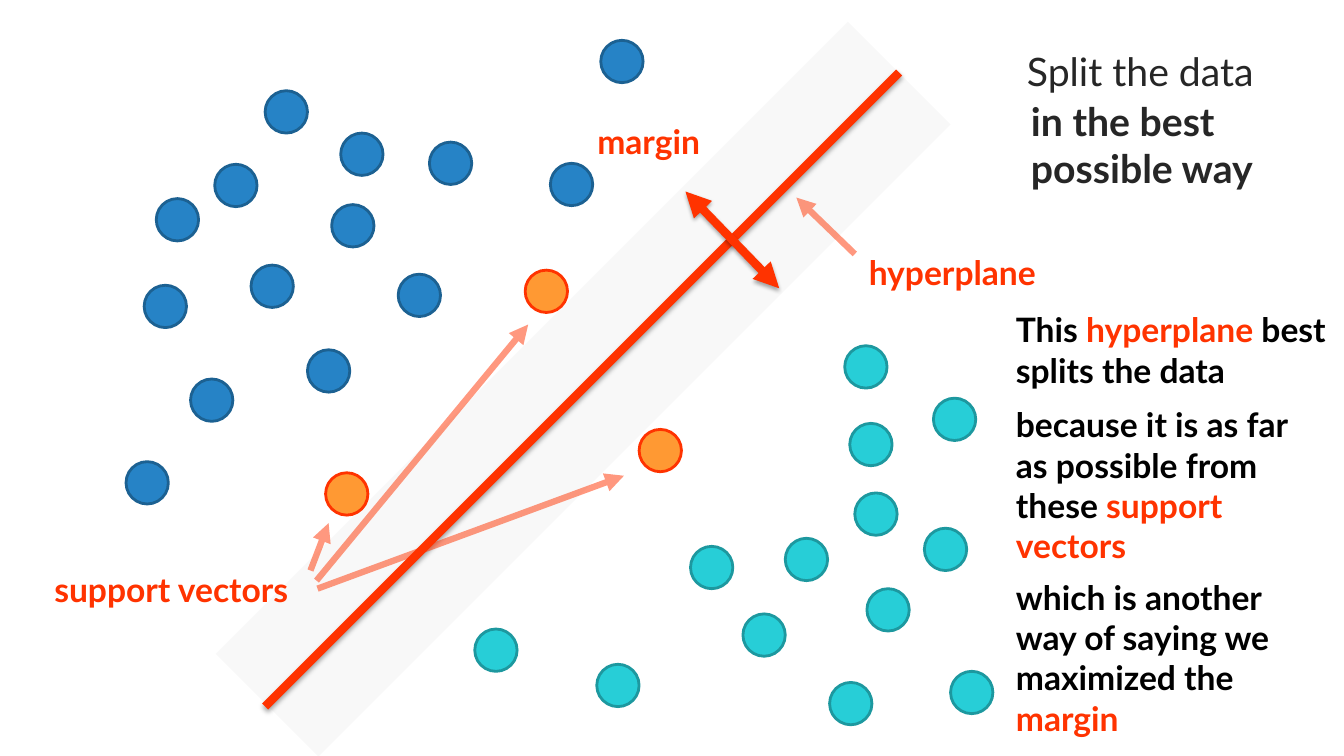
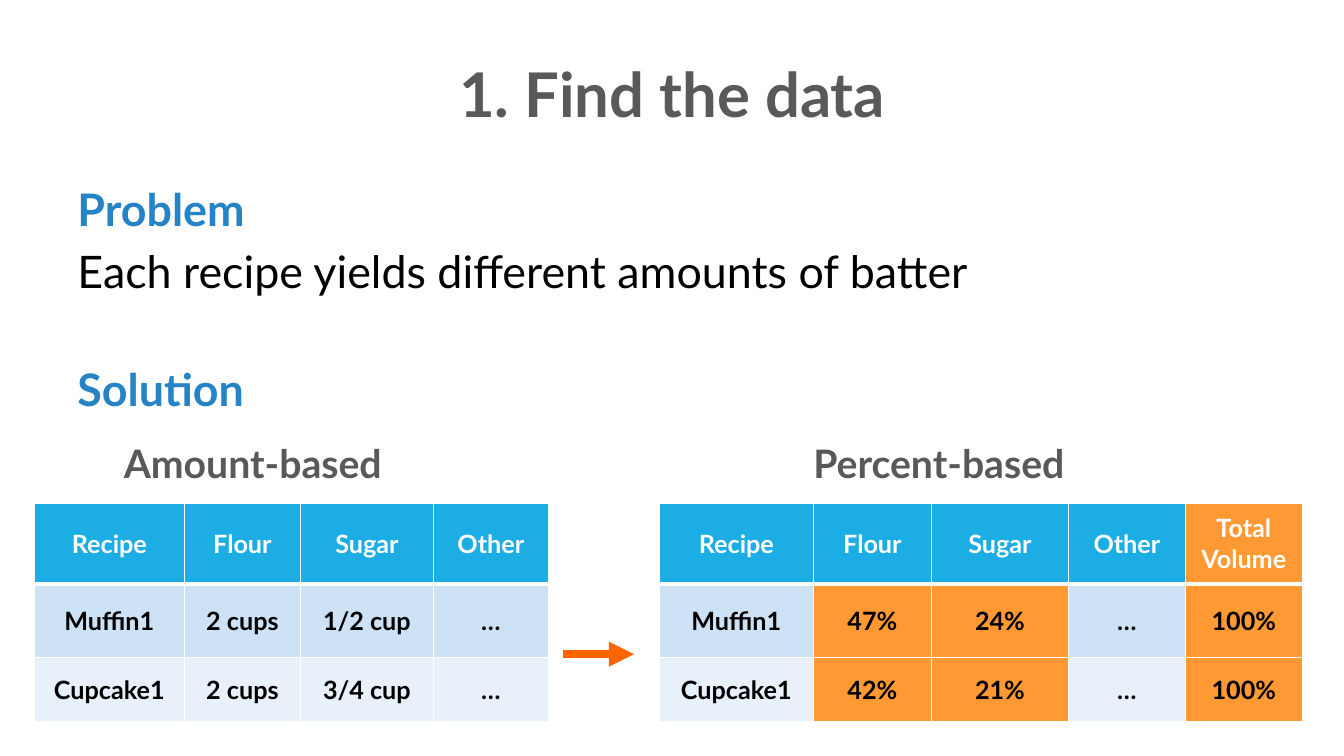
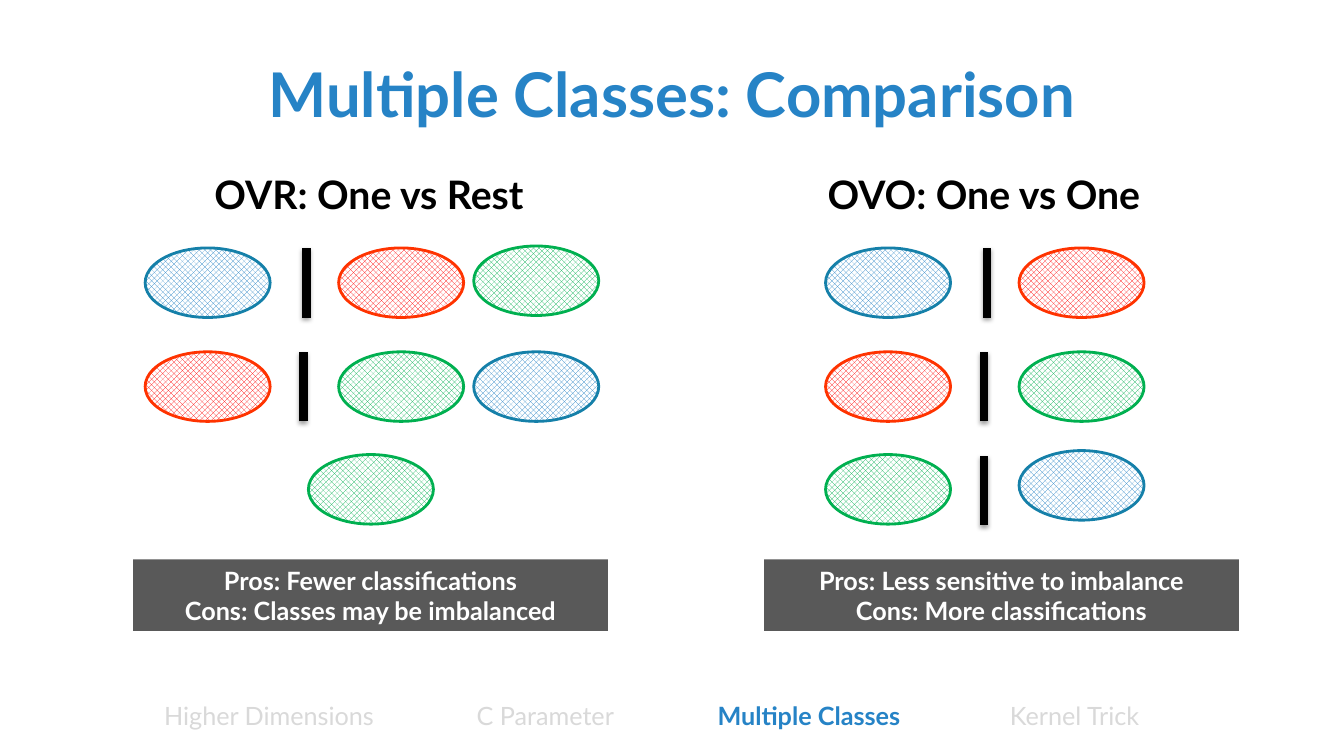
from lxml.etree import SubElement
from pptx import Presentation
from pptx.dml.color import RGBColor
from pptx.enum.dml import MSO_PATTERN_TYPE as Pattern
from pptx.enum.shapes import MSO_CONNECTOR as Connector, MSO_SHAPE as Preset
from pptx.enum.text import MSO_ANCHOR as Anchor, MSO_AUTO_SIZE as AutoSize, PP_ALIGN as Align
from pptx.oxml.ns import qn
from pptx.util import Emu, Pt

CELL = 91440
COLUMNS, ROWS = 133.33, 75
TITLE_ONLY, BLANK = 5, 6

BLUE, NAVY = "2683C6", "1C6192"
TEAL, DARK_TEAL = "27CED7", "1D989F"
RED, ORANGE, ARROW_ORANGE = "FF3300", "FF9933", "FF6600"
GREEN = "00B050"
BLACK, WHITE, GRAY, CHARCOAL, PALE_GRAY = "000000", "FFFFFF", "595959", "262626", "D9D9D9"
HEADER, BAND_DARK, BAND_LIGHT = "1CADE4", "CDE3F5", "E8F1FA"


def color(value):
    return RGBColor.from_string(value)


def grid(*lengths):
    return [Emu(round(length * CELL)) for length in lengths]


def assign(target, values):
    for name, value in values.items():
        setattr(target, name, value)


def element(parent, tag, **attributes):
    return SubElement(parent, qn(tag), {name: str(value) for name, value in attributes.items()})


class Deck:
    font = {"name": "Lato", "size": Pt(18), "bold": True}

    def __init__(self):
        self.presentation = Presentation()
        width, height = grid(COLUMNS, ROWS)
        assign(self.presentation, {"slide_width": width, "slide_height": height})
        self.slide = None

    def new_slide(self, title=None, title_color=GRAY):
        layout = TITLE_ONLY if title else BLANK
        self.slide = self.presentation.slides.add_slide(self.presentation.slide_layouts[layout])
        if title:
            shape = self.slide.shapes.title
            left, top, width, height = grid(6.7, 3, 120, 12.5)
            assign(shape, {"left": left, "top": top, "width": width, "height": height})
            self.set_text(shape, [{"runs": [(title, title_color)], "size": 44}],
                          Align.CENTER, Anchor.MIDDLE)

    def set_text(self, holder, paragraphs, align=Align.LEFT, anchor=Anchor.TOP):
        frame = holder.text_frame
        assign(frame, {"word_wrap": True, "auto_size": AutoSize.NONE, "vertical_anchor": anchor})
        for index, content in enumerate(paragraphs):
            paragraph = frame.add_paragraph() if index else frame.paragraphs[0]
            if "tabs" in content:
                tabs = element(paragraph._p.get_or_add_pPr(), "a:tabLst")
                for position in grid(*content["tabs"]):
                    element(tabs, "a:tab", pos=position, algn="l")
            assign(paragraph, {"alignment": align, "space_before": Pt(content.get("before", 0))})
            for text, shade, *weight in content["runs"]:
                run = paragraph.add_run()
                run.text = text
                assign(run.font, {**self.font, "size": Pt(content.get("size", 18))})
                if weight:
                    run.font.bold = weight[0]
                run.font.color.rgb = color(shade)

    def text(self, box, paragraphs, align=Align.LEFT):
        self.set_text(self.slide.shapes.add_textbox(*grid(*box)), paragraphs, align)

    def label(self, box, *runs, size=24, align=Align.LEFT):
        self.text(box, [{"runs": runs, "size": size}], align)

    def shape(self, preset, box, fill, line=None, alpha=None, pattern=None):
        shape = self.slide.shapes.add_shape(preset, *grid(*box))
        shape.shadow.inherit = False
        if pattern:
            shape.fill.patterned()
            shape.fill.pattern = pattern
            shape.fill.back_color.rgb = color(WHITE)
        else:
            shape.fill.solid()
        shape.fill.fore_color.rgb = color(fill)
        if alpha:
            self.fade(shape._element.spPr.find(qn("a:solidFill")), alpha)
        if line:
            shape.line.color.rgb = color(line)
            shape.line.width = Pt(2)
        else:
            shape.line.fill.background()
        return shape

    def fade(self, solid_fill, percent):
        element(solid_fill[0], "a:alpha", val=percent * 1000)

    def dot(self, left, top, fill, line):
        self.shape(Preset.OVAL, (left, top, 4.2, 4.2), fill, line)

    def line(self, start, end, shade, width=6, alpha=None, heads=(), shadow=False):
        connector = self.slide.shapes.add_connector(Connector.STRAIGHT, *grid(*start, *end))
        connector.line.color.rgb = color(shade)
        connector.line.width = Pt(width)
        outline = connector._element.spPr.find(qn("a:ln"))
        if alpha:
            self.fade(outline.find(qn("a:solidFill")), alpha)
        for head in heads:
            element(outline, head, type="triangle")
        effects = element(connector._element.spPr, "a:effectLst")
        if shadow:
            cast = element(effects, "a:outerShdw", blurRad=Pt(3.1), dist=Pt(1.8),
                           dir=90 * 60000, rotWithShape=0)
            element(element(cast, "a:srgbClr", val=BLACK), "a:alpha", val=35000)

    def pointer(self, start, end):
        self.line(start, end, RED, 4.5, 50, ["a:tailEnd"])

    def table(self, left, top, widths, heights, records, highlights):
        frame = self.slide.shapes.add_table(
            len(heights), len(widths), *grid(left, top, sum(widths), sum(heights)))
        table = frame.table
        table.horz_banding = False
        for column, width in zip(table.columns, grid(*widths)):
            column.width = width
        for row, height in zip(table.rows, grid(*heights)):
            row.height = height
        bands = [HEADER, BAND_DARK, BAND_LIGHT]
        for row, record in enumerate(records):
            for column, text in enumerate(record):
                cell = table.cell(row, column)
                self.borders(cell, row)
                cell.fill.solid()
                cell.fill.fore_color.rgb = color(
                    ORANGE if (row, column) in highlights else bands[row])
                cell.vertical_anchor = Anchor.MIDDLE
                paragraph = cell.text_frame.paragraphs[0]
                paragraph.alignment = Align.CENTER
                run = paragraph.add_run()
                run.text = text
                assign(run.font, self.font)
                run.font.color.rgb = color(BLACK if row else WHITE)

    def borders(self, cell, row):
        properties = cell._tc.get_or_add_tcPr()
        for side in "LRTB":
            thick = (row, side) in [(0, "B"), (1, "T")]
            border = element(properties, f"a:ln{side}", w=Pt(3 if thick else 1))
            element(element(border, "a:solidFill"), "a:srgbClr", val=WHITE)


def hyperplane_slide(deck):
    deck.new_slide()
    deck.shape(Preset.RECTANGLE, (13.5, 31.4, 88.7, 14.4), "BFBFBF", alpha=10).rotation = 315
    blue_dots = [(15.5, 19.7), (21.3, 16.3), (14.3, 28.3), (42.6, 14.1), (32.9, 20.3),
                 (12.5, 45.8), (18.9, 37.6), (24.9, 26.3), (30.5, 34.7), (54.6, 16.2),
                 (33.8, 13.2), (26.3, 9), (39.5, 27.2), (59.6, 4)]
    teal_dots = [(86, 58.4), (68.5, 54.2), (91.7, 52.4), (84.8, 48.9), (77.9, 53.4),
                 (47.1, 62.4), (83.8, 34.3), (92.6, 39.5), (82.3, 67.7), (94.3, 66.6),
                 (73.7, 60.9), (84.3, 42), (59.2, 65.9)]
    support_dots = [(63.4, 42.6), (52.1, 26.8), (32.3, 46.9)]
    for dots, fill, outline in [(blue_dots, BLUE, NAVY), (teal_dots, TEAL, DARK_TEAL)]:
        for left, top in dots:
            deck.dot(left, top, fill, outline)

    deck.label((100.9, 4.2, 30.4, 5.7), ("Split the data", CHARCOAL, False), size=28)
    deck.label((101.3, 9.2, 30.4, 10.4), ("in the best possible way", CHARCOAL), size=28)
    deck.line((26.3, 70.1), (89.2, 7.2), RED, shadow=True)
    deck.label((85.2, 24.5, 27.1, 5), ("hyperplane", RED))
    deck.pointer((84.8, 25.2), (79, 19.6))
    for left, top in support_dots:
        deck.dot(left, top, ORANGE, RED)
    deck.label((4.4, 55.9, 27.1, 5), ("support vectors", RED))
    for start, end in [((31.5, 58.4), (61.9, 47.2)), ((31.4, 57.6), (52.4, 32.2)),
                       ((30.8, 56.6), (32.6, 51.9))]:
        deck.pointer(start, end)
    deck.label((55.3, 11.5, 18.1, 5), ("margin", RED), align=Align.CENTER)
    deck.line((68, 19), (77.3, 28.6), RED, heads=["a:headEnd", "a:tailEnd"], shadow=True)

    deck.label((99.8, 30.2, 33, 9.1), ("This ", BLACK), ("hyperplane", RED),
               (" best splits the data", BLACK))
    deck.label((99.8, 39.6, 30.9, 17.2),
               ("because it is as far as possible from these ", BLACK), ("support vectors", RED))
    deck.label((99.8, 56.7, 30.9, 17.2),
               ("which is another way of saying we maximized the ", BLACK), ("margin", RED))


def data_slide(deck):
    deck.new_slide("1. Find the data")
    deck.text((6.7, 17.5, 120, 32), [
        {"runs": [("Problem", BLUE)], "size": 32},
        {"runs": [("Each recipe yields different amounts of batter", BLACK, False)],
         "size": 32, "before": 6.4},
        {"runs": [("Solution", BLUE)], "size": 32, "before": 45.6},
        {"runs": [("\tAmount-based\tPercent-based", GRAY)],
         "size": 28, "before": 16.8, "tabs": [4.6, 73]},
    ])
    heights = [8, 7.3, 6.4]
    deck.table(3.4, 49.9, [14.9, 11.5, 13.2, 11.4], heights, [
        ["Recipe", "Flour", "Sugar", "Other"],
        ["Muffin1", "2 cups", "1/2 cup", "…"],
        ["Cupcake1", "2 cups", "3/4 cup", "…"],
    ], [])
    deck.line((55.9, 64.9), (62.9, 64.9), ARROW_ORANGE, heads=["a:tailEnd"])
    deck.table(65.4, 49.9, [15.3, 11.7, 13.6, 11.6, 11.6], heights, [
        ["Recipe", "Flour", "Sugar", "Other", "Total Volume"],
        ["Muffin1", "47%", "24%", "…", "100%"],
        ["Cupcake1", "42%", "21%", "…", "100%"],
    ], [(0, 4)] + [(row, column) for row in (1, 2) for column in (1, 2, 4)])


def comparison_slide(deck):
    deck.new_slide("Multiple Classes: Comparison", BLUE)
    deck.text((0, 69, 129.3, 4), [{
        "runs": [("\tHigher Dimensions\tC Parameter\t", PALE_GRAY, False),
                 ("Multiple Classes", BLUE), ("\tKernel Trick", PALE_GRAY, False)],
        "tabs": [15.3, 46.3, 70.2, 99.2],
    }])
    classes = {"blue": (BLUE, "1580A9"), "red": ("FF0000", RED), "green": (GREEN, GREEN)}
    first, second, third = 24.6, 34.9, 45.1
    panels = [
        {"heading": "OVR: One vs Rest", "heading_left": 15.7, "left": 14.4, "note_left": 13.2,
         "note": ["Pros: Fewer classifications", "Cons: Classes may be imbalanced"],
         "ovals": [("blue", 0, first), ("red", 19.2, first), ("green", 32.6, 24.4),
                   ("red", 0, second), ("green", 19.2, second), ("blue", 32.6, second),
                   ("green", 16.2, third)],
         "bars": [(16, first), (15.7, second)]},
        {"heading": "OVO: One vs One", "heading_left": 76.7, "left": 81.9, "note_left": 75.8,
         "note": ["Pros: Less sensitive to imbalance", "Cons: More classifications"],
         "ovals": [("blue", 0, first), ("red", 19.2, first),
                   ("red", 0, second), ("green", 19.2, second),
                   ("green", 0, third), ("blue", 19.2, 44.7)],
         "bars": [(16, first), (15.7, second), (15.7, 45.2)]},
    ]
    for panel in panels:
        deck.label((panel["heading_left"], 16.4, 41.8, 6), (panel["heading"], BLACK),
                   size=28, align=Align.CENTER)
        for name, offset, top in panel["ovals"]:
            fill, outline = classes[name]
            deck.shape(Preset.OVAL, (panel["left"] + offset, top, 12.4, 6.9), fill, outline,
                       pattern=Pattern.SOLID_DIAMOND)
        for offset, top in panel["bars"]:
            column = panel["left"] + offset
            deck.line((column, top + 6.9), (column, top), BLACK, shadow=True)
        note = deck.shape(Preset.RECTANGLE, (panel["note_left"], 55.5, 47.1, 7.1), GRAY)
        deck.set_text(note, [{"runs": [(line, WHITE)]} for line in panel["note"]],
                      Align.CENTER, Anchor.MIDDLE)


def main():
    deck = Deck()
    hyperplane_slide(deck)
    data_slide(deck)
    comparison_slide(deck)
    deck.presentation.save("out.pptx")


if __name__ == "__main__":
    main()
